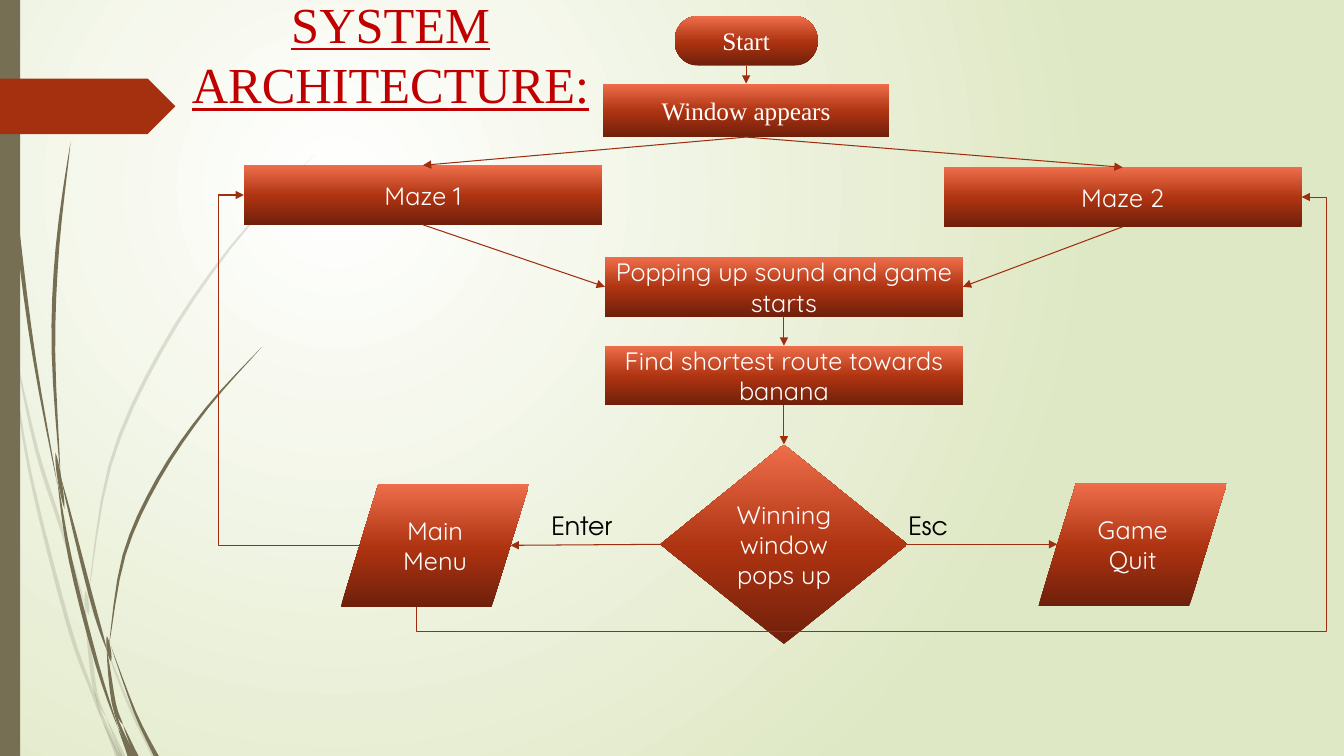
from lxml.etree import SubElement
from pptx import Presentation
from pptx.dml.color import RGBColor
from pptx.enum.shapes import MSO_CONNECTOR as Link, MSO_SHAPE as Kind
from pptx.enum.text import MSO_ANCHOR as Anchor, PP_ALIGN as Align
from pptx.oxml.ns import qn
from pptx.util import Inches, Pt

WIDTH, HEIGHT = 13.33, 7.5
SERIF, ROUND, GEOMETRIC = "Times New Roman", "Quicksand", "TeX Gyre Adventor"
OLIVE, RUST, ARROW_RED, TITLE_RED = "766F54", "A53010", "9E2E0F", "C00000"
BACKDROP = [(0, "FFFFFF"), (100, "DFE8C4")]
STEP_SHADES = [(0, "6F200B"), (48, "AE3311"), (100, "EE6E4B")]

TITLE = "SYSTEM ARCHITECTURE:"
STEP, SCREEN = (3.55, 0.59), (1.87, 1.22)
# step: wording, kind, (left, top), (width, height), font
STEPS = {
    "start": ("Start", Kind.FLOWCHART_TERMINATOR, (6.69, 0.16), (1.42, 0.49), SERIF),
    "window": ("Window appears", Kind.FLOWCHART_PROCESS, (5.98, 0.83), (2.84, 0.53), SERIF),
    "maze 1": ("Maze 1", Kind.FLOWCHART_PROCESS, (2.42, 1.64), STEP, ROUND),
    "maze 2": ("Maze 2", Kind.FLOWCHART_PROCESS, (9.36, 1.66), STEP, ROUND),
    "sound": ("Popping up sound and game starts", Kind.FLOWCHART_PROCESS, (6, 2.55), STEP, ROUND),
    "route": ("Find shortest route towards banana", Kind.FLOWCHART_PROCESS, (6, 3.43), STEP, ROUND),
    "win": ("Winning window pops up", Kind.FLOWCHART_DECISION, (6.55, 4.41), (2.45, 1.98), ROUND),
    "menu": ("Main Menu", Kind.FLOWCHART_DATA, (3.38, 4.8), SCREEN, ROUND),
    "quit": ("Game Quit", Kind.FLOWCHART_DATA, (10.3, 4.79), SCREEN, ROUND),
}
ARROWS = [
    ("start", "bottom", "window", "top"),
    ("window", "bottom", "maze 1", "top"),
    ("window", "bottom", "maze 2", "top"),
    ("maze 1", "bottom", "sound", "left"),
    ("maze 2", "bottom", "sound", "right"),
    ("sound", "bottom", "route", "top"),
    ("route", "bottom", "win", "top"),
    ("win", "right", "quit", "left"),
    ("win", "left", "menu", "right"),
]
KEYS = [("Enter", 5.37), ("Esc", 8.91)]
LOOP_GAP = 0.25

# grass blades, each from its tip downwards
PALE_BLADES = [
    [(0.02, 2.82), (0.06, 3.2), (0.11, 3.5)],
    [(0.14, 3.45), (0.36, 4.45), (0.6, 5.21), (0.84, 5.99)],
    [(0.88, 5.96), (1.25, 6.93), (1.53, 7.5)],
    [(1.05, 7.11), (1.22, 7.5)],
    [(0.11, 3.5), (0.3, 4.7), (0.68, 6.2), (0.92, 6.88), (1.01, 7.14)],
    [(0.84, 5.99), (0.89, 6.46), (0.95, 6.88), (1.05, 7.11)],
    [(3.12, 1.53), (2.29, 2.45), (1.59, 3.49), (1.09, 4.62), (0.87, 5.96)],
    [(1.01, 7.14), (1.17, 7.5)],
    [(0.85, 5.86), (0.86, 5.98), (0.88, 6.1)],
    [(0.93, 6.83), (1.01, 7.1), (1.19, 7.5)],
]
DARK_BLADES = [
    [(0.03, 0), (0.07, 1.1), (0.18, 2.33), (0.34, 3.55), (0.57, 4.81)],
    [(0.6, 4.72), (0.9, 5.91), (1.06, 6.45)],
    [(1.1, 6.41), (1.34, 7.07), (1.55, 7.5)],
    [(0.57, 4.77), (0.7, 5.56), (0.96, 6.58), (1.17, 7.22)],
    [(0.7, 1.41), (0.57, 2.45), (0.53, 3.49), (0.6, 4.72)],
    [(1.22, 7.19), (1.35, 7.5)],
    [(0.55, 4.49), (0.59, 4.75), (0.64, 5.05)],
    [(2.6, 3.44), (2.05, 4.05), (1.57, 4.75), (1.23, 5.51), (1.08, 6.41)],
    [(1.17, 7.22), (1.29, 7.5)],
    [(1.06, 6.45), (1.13, 6.98), (1.22, 7.19)],
    [(1.06, 6.31), (1.08, 6.45), (1.1, 6.56)],
    [(1.1, 6.91), (1.17, 7.16), (1.32, 7.5)],
]


def colour(hex_text):
    """Turn a hex string into a colour."""
    return RGBColor.from_string(hex_text)


def inches(*lengths):
    """Convert several lengths given in inches."""
    return [Inches(length) for length in lengths]


def shade(fill, element, stops, direction, **settings):
    """Give a fill several gradient stops and return its direction element."""
    fill.gradient()
    gradient = element.find(".//" + qn("a:gradFill"))
    for child in list(gradient):
        gradient.remove(child)
    stop_list = SubElement(gradient, qn("a:gsLst"))
    for position, tint in stops:
        stop = SubElement(stop_list, qn("a:gs"), pos=str(position * 1000))
        SubElement(stop, qn("a:srgbClr"), val=tint)
    return SubElement(gradient, qn("a:" + direction), **settings)


def write(frame, wording, font, size, tint, align=Align.CENTER):
    """Set and format one paragraph of text."""
    frame.word_wrap = True
    paragraph = frame.paragraphs[0]
    paragraph.text, paragraph.alignment = wording, align
    run = paragraph.runs[0].font
    run.name, run.size, run.color.rgb = font, Pt(size), colour(tint)
    return run


def paint(shape, tint):
    """Give a shape a plain fill without line or shadow."""
    shape.fill.solid()
    shape.fill.fore_color.rgb = colour(tint)
    shape.line.fill.background()
    shape.shadow.inherit = False


def spline(points, parts=4):
    """Sample a smooth curve through the points."""
    padded = [points[0], *points, points[-1]]
    for knots in zip(padded, padded[1:], padded[2:], padded[3:]):
        for t in (part / parts for part in range(parts)):
            yield tuple((2 * q + (r - p) * t + (2 * p - 5 * q + 4 * r - s) * t ** 2
                         + (3 * q - p - 3 * r + s) * t ** 3) / 2 for p, q, r, s in zip(*knots))
    yield points[-1]


def add_blade(points, opacity):
    """Draw a blade, widest at the slide's foot or else halfway along."""
    middle = list(spline(points))
    shares = [i / (len(middle) - 1) for i in range(len(middle))]
    rooted = points[-1][1] == HEIGHT
    halves = [0.025 * u if rooted else 0.08 * u * (1 - u) for u in shares]
    edge = [(x - half, y) for (x, y), half in zip(middle, halves)]
    edge += [(x + half, y) for (x, y), half in zip(middle[::-1], halves[::-1])]
    edge = [inches(*point) for point in edge]
    pen = shapes.build_freeform(*edge[0])
    pen.add_line_segments(edge[1:])
    blade = pen.convert_to_shape()
    paint(blade, OLIVE)
    tint = blade._element.spPr.find(".//" + qn("a:srgbClr"))
    SubElement(tint, qn("a:alpha"), val=str(opacity * 1000))


def add_step(wording, kind, place, size, font):
    """Draw one shaded step of the flowchart."""
    step = shapes.add_shape(kind, *inches(*place, *size))
    paint(step, RUST)
    shade(step.fill, step._element.spPr, STEP_SHADES, "lin", ang="16200000", scaled="0")
    step.text_frame.vertical_anchor = Anchor.MIDDLE
    write(step.text_frame, wording, font, 18, "FFFFFF")


def port(name, side):
    """Find the point on a step's side where an arrow meets it."""
    _, kind, (left, top), (width, height), _ = STEPS[name]
    slant = 0.1 if kind == Kind.FLOWCHART_DATA else 0
    across, down = {"top": (0.5 + slant, 0), "bottom": (0.5 - slant, 1),
                    "left": (slant, 0.5), "right": (1 - slant, 0.5)}[side]
    return left + across * width, top + down * height


def add_arrow(begin, end, link=Link.STRAIGHT):
    """Draw an arrow between two points."""
    arrow = shapes.add_connector(link, *inches(*begin, *end))
    arrow.line.color.rgb, arrow.line.width = colour(ARROW_RED), Pt(0.75)
    SubElement(arrow.line._get_or_add_ln(), qn("a:tailEnd"), type="triangle")
    SubElement(arrow._element.spPr, qn("a:effectLst"))
    return arrow


def bend(arrow, preset, *shares):
    """Set where an elbow arrow turns, as shares of its extent."""
    geometry = arrow._element.spPr.find(qn("a:prstGeom"))
    geometry.set("prst", preset)
    guides = geometry.find(qn("a:avLst"))
    for number, share in enumerate(shares, 1):
        SubElement(guides, qn("a:gd"), name=f"adj{number}", fmla=f"val {round(share * 100000)}")


deck = Presentation()
deck.slide_width, deck.slide_height = inches(WIDTH, HEIGHT)
slide = deck.slides.add_slide(deck.slide_layouts[5])
shapes = slide.shapes
glow = shade(slide.background.fill, slide._element, BACKDROP, "path", path="circle")
SubElement(glow, qn("a:fillToRect"), l="50000", t="50000", r="100000", b="100000")

for blades, opacity in ((PALE_BLADES, 20), (DARK_BLADES, 100)):
    for points in blades:
        add_blade(points, opacity)
paint(shapes.add_shape(Kind.RECTANGLE, *inches(0, 0, 0.2, HEIGHT)), OLIVE)
pennant = shapes.add_shape(Kind.PENTAGON, *inches(0, 0.78, 1.74, 0.55))
paint(pennant, RUST)

title = shapes.title
title.left, title.top, title.width, title.height = inches(1.3, -0.12, 5.15, 1.31)
title.text_frame.vertical_anchor = Anchor.TOP
write(title.text_frame, TITLE, SERIF, 36, TITLE_RED).underline = True
for step in STEPS.values():
    add_step(*step)
for source, source_side, target, target_side in ARROWS:
    add_arrow(port(source, source_side), port(target, target_side))
for key, left in KEYS:
    label = shapes.add_textbox(*inches(left, 5.01, 1.08, 0.4))
    write(label.text_frame, key, GEOMETRIC, 18, "000000", Align.LEFT)

begin, end = port("menu", "left"), port("maze 1", "left")
bend(add_arrow(begin, end, Link.ELBOW), "bentConnector3", 1 + LOOP_GAP / (begin[0] - end[0]))
# The second loop is laid out sideways about its centre, then turned a quarter.
begin, end = port("menu", "bottom"), port("maze 2", "right")
rise, reach = begin[1] - end[1], end[0] - begin[0]
x, y = (begin[0] + end[0]) / 2, (begin[1] + end[1]) / 2
loop = add_arrow((x + rise / 2, y + reach / 2), (x - rise / 2, y - reach / 2), Link.ELBOW)
loop._element.spPr.find(qn("a:xfrm")).set("rot", "5400000")
bend(loop, "bentConnector4", -LOOP_GAP / rise, 1 + LOOP_GAP / reach)
deck.save("out.pptx")
